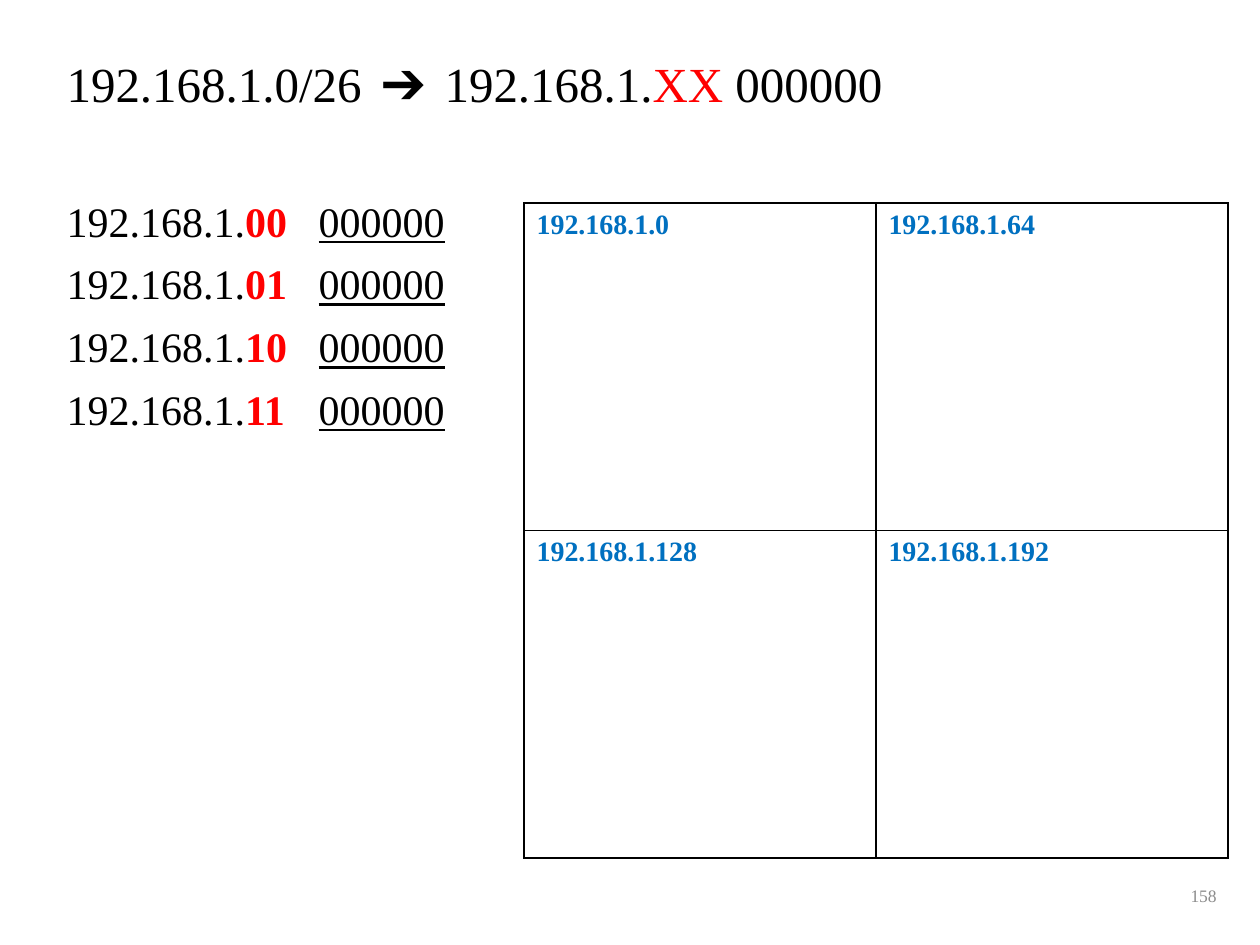
from dataclasses import dataclass
from itertools import product

from lxml.etree import SubElement
from pptx import Presentation
from pptx.dml.color import RGBColor
from pptx.enum.text import MSO_ANCHOR, MSO_AUTO_SIZE, PP_ALIGN
from pptx.oxml.ns import qn
from pptx.util import Emu, Pt

PX = 914400 // 126


@dataclass(frozen=True)
class Theme:
    font: str = "Times New Roman"
    text: str = "000000"
    subnet: str = "FF0000"
    network: str = "0070C0"
    muted: str = "8C8C8C"
    heading_size: int = 28
    list_size: int = 24
    cell_size: int = 16
    number_size: int = 10


THEME = Theme()

HEADING = [("192.168.1.0/26\t➔\t192.168.1.", THEME.text),
           ("XX", THEME.subnet), (" 000000", THEME.text)]
PREFIX, HOST_BITS = "192.168.1.", "000000"
SUBNET_BITS = ["00", "01", "10", "11"]
NETWORKS = [["192.168.1.0", "192.168.1.64"],
            ["192.168.1.128", "192.168.1.192"]]
PAGE_NUMBER = "158"

# left, top, width, height in px
BODY_BOX = (54, 54, 1086, 600)
TABLE_BOX = (524, 203, 704, 655)
NUMBER_BOX = (945, 871, 284, 50)
HEADING_TABS, LIST_TABS = (318, 400), (241,)
LINE_SPACING, ITEM_GAP, LIST_GAP = 0.9, 10, 50


def px(*lengths):
    return [Emu(n * PX) for n in lengths]


def add_text(p, text, size, color=THEME.text, bold=False, underline=False):
    r = p.add_run()
    r.text = text
    f = r.font
    f.name, f.size, f.bold, f.underline = THEME.font, Pt(size), bold, underline
    f.color.rgb = RGBColor.from_string(color)


def format_line(p, tabs, before=0):
    """Set spacing and tab stops, and switch the bullet off."""
    p.line_spacing = LINE_SPACING
    p.space_before = Pt(before)
    pPr = p._p.get_or_add_pPr()
    pPr.set("marL", "0")
    pPr.set("indent", "0")
    SubElement(pPr, qn("a:buNone"))
    stops = SubElement(pPr, qn("a:tabLst"))
    for pos in tabs:
        SubElement(stops, qn("a:tab"), pos=str(pos * PX), algn="l")


def fill_body(body):
    body.left, body.top, body.width, body.height = px(*BODY_BOX)
    tf = body.text_frame
    tf.auto_size = MSO_AUTO_SIZE.NONE
    p = tf.paragraphs[0]
    format_line(p, HEADING_TABS)
    for text, color in HEADING:
        add_text(p, text, THEME.heading_size, color)
    for i, bits in enumerate(SUBNET_BITS):
        p = tf.add_paragraph()
        format_line(p, LIST_TABS, ITEM_GAP if i else LIST_GAP)
        add_text(p, PREFIX, THEME.list_size)
        add_text(p, bits + "\t", THEME.list_size, THEME.subnet, bold=True)
        add_text(p, HOST_BITS, THEME.list_size, underline=True)


def add_borders(cell):
    tcPr = cell._tc.get_or_add_tcPr()
    for i, side in enumerate(("lnL", "lnR", "lnT", "lnB")):
        ln = SubElement(tcPr, qn("a:" + side), w=str(Pt(1)))
        tcPr.insert(i, ln)
        fill = SubElement(ln, qn("a:solidFill"))
        SubElement(fill, qn("a:srgbClr"), val=THEME.text)


def add_networks(slide):
    rows, cols = len(NETWORKS), len(NETWORKS[0])
    table = slide.shapes.add_table(rows, cols, *px(*TABLE_BOX)).table
    table.first_row = table.horz_banding = False
    for row, col in product(range(rows), range(cols)):
        cell = table.cell(row, col)
        cell.fill.background()
        add_borders(cell)
        add_text(cell.text_frame.paragraphs[0], NETWORKS[row][col],
                 THEME.cell_size, THEME.network, bold=True)


def add_page_number(slide):
    tf = slide.shapes.add_textbox(*px(*NUMBER_BOX)).text_frame
    tf.word_wrap = True
    tf.vertical_anchor = MSO_ANCHOR.MIDDLE
    p = tf.paragraphs[0]
    p.alignment = PP_ALIGN.RIGHT
    add_text(p, PAGE_NUMBER, THEME.number_size, THEME.muted)


def main():
    prs = Presentation()
    prs.slide_width, prs.slide_height = px(1260, 945)
    slide = prs.slides.add_slide(prs.slide_layouts[1])
    title, body = slide.placeholders
    title.element.getparent().remove(title.element)
    fill_body(body)
    add_page_number(slide)
    add_networks(slide)
    prs.save("out.pptx")


if __name__ == "__main__":
    main()
